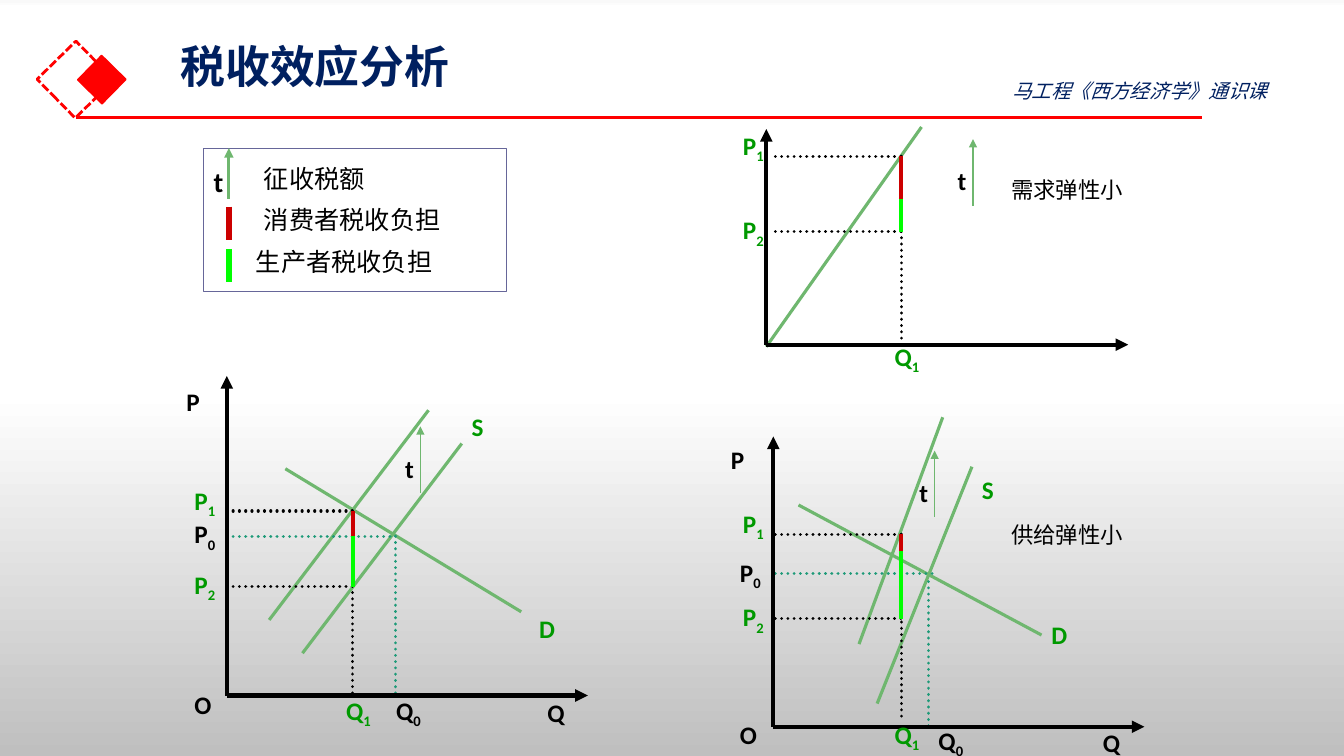
import pptx
import pptx.util
import pptx.dml.color
import pptx.enum.dml
import pptx.enum.shapes
import pptx.enum.text
import pptx.oxml.ns
import lxml.etree

RGB = pptx.dml.color.RGBColor
RED = RGB(0xFF, 0, 0)
NAVY = RGB(0, 0x20, 0x60)
SLATE = RGB(0x66, 0x66, 0x99)
WHITE = RGB(0xFF, 0xFF, 0xFF)
BLACK = RGB(0, 0, 0)
LEAF = RGB(0x6F, 0xB7, 0x6F)
GREEN = RGB(0, 0x99, 0)
TEAL = RGB(0x1D, 0x9A, 0x78)
BUYER = RGB(0xCC, 0, 0)
SELLER = RGB(0, 0xFF, 0)
SANS = "Noto Sans CJK SC"
LATIN = "Calibri"

TITLE = "税收效应分析"
COURSE = "马工程《西方经济学》通识课"
FADE = [(0, "F9F9F9"), (1, "FFFFFF"), (52, "FFFFFF"), (100, "BFBFBF")]
LEGEND = [("征收税额", 2.52, 1.64), ("消费者税收负担", 2.52, 2.05),
          ("生产者税收负担", 2.44, 2.47)]
NOTES = [("需求弹性小", 9.93, 1.72), ("供给弹性小", 9.93, 5.14)]
PANELS = [
    dict(zero=(2.25, 6.9), ends=(5.83, 3.73), left=2.25, foot=6.9,
         names=1.83, q1=3.5, p1=5.07, split=5.32, p2=5.82, tax=(4.17, 4.23),
         base=dict(q0=3.92, p0=5.32, reach=3.92, start=5.32, name=(1.83, 5.15),
                   under=(3.83, 6.9)),
         curves=[(3, 6.48, 4.58, 4.4), (2.83, 4.65, 5.17, 6.07),
                 (2.67, 6.15, 4.25, 4.07)],
         marks=[("S", GREEN, 4.58, 4.07), ("D", GREEN, 5.25, 6.07),
                ("P", BLACK, 1.75, 3.82), ("O", BLACK, 1.83, 6.82),
                ("Q", BLACK, 5.33, 6.9)]),
    dict(zero=(7.6, 3.42), ends=(11.19, 1.28), left=7.69, foot=3.39,
         names=7.27, q1=8.94, p1=1.55, split=1.97, p2=2.3, tax=(9.65, 1.38),
         base=None, curves=[(7.6, 3.44, 9.14, 1.26)], marks=[]),
    dict(zero=(7.67, 7.21), ends=(11.35, 4.33), left=7.69, foot=7.14,
         names=7.27, q1=8.94, p1=5.3, split=5.47, p2=6.14, tax=(9.27, 4.47),
         base=dict(q0=9.21, p0=5.69, reach=9.3, start=5.77, name=(7.24, 5.53),
                   under=(9.21, 7.2)),
         curves=[(8.52, 6.39, 9.35, 4.14), (8.7, 6.98, 9.64, 4.63),
                 (7.92, 5.01, 10.33, 6.3)],
         marks=[("S", GREEN, 9.64, 4.69), ("D", GREEN, 10.33, 6.13),
                ("P", BLACK, 7.15, 4.39), ("O", BLACK, 7.24, 7.12),
                ("Q", BLACK, 10.84, 7.2)]),
]
CELL = 0.33

inch = pptx.util.Inches
qn = pptx.oxml.ns.qn
Dash = pptx.enum.dml.MSO_LINE
Anchor = pptx.enum.text.MSO_ANCHOR

deck = pptx.Presentation()
deck.slide_width, deck.slide_height = inch(13.33), inch(7.5)
slide = deck.slides.add_slide(deck.slide_layouts[5])
shapes = slide.shapes


def paint():
    fill = slide.background.fill
    fill.gradient()
    fill.gradient_angle = 270
    stops = slide._element.find(".//" + qn("a:gsLst"))
    for old in list(stops):
        stops.remove(old)
    for place, tone in FADE:
        stop = lxml.etree.SubElement(stops, qn("a:gs"), pos=str(place * 1000))
        lxml.etree.SubElement(stop, qn("a:srgbClr"), val=tone)


def line(x1, y1, x2, y2, color, width=2.25, dots=False, arrow=False):
    link = shapes.add_connector(pptx.enum.shapes.MSO_CONNECTOR.STRAIGHT,
                                inch(x1), inch(y1), inch(x2), inch(y2))
    link.line.color.rgb = color
    link.line.width = pptx.util.Pt(width)
    if dots:
        link.line.dash_style = Dash.ROUND_DOT
        link.line._get_or_add_ln().set("cap", "rnd")
    if arrow:
        lxml.etree.SubElement(link.line._get_or_add_ln(), qn("a:tailEnd"),
                              type="triangle")
    lxml.etree.SubElement(link._element.spPr, qn("a:effectLst"))


def box(x, y, w, h, edge, width, fill=None, turn=0, dash=None):
    rect = shapes.add_shape(pptx.enum.shapes.MSO_SHAPE.RECTANGLE,
                            inch(x), inch(y), inch(w), inch(h))
    rect.shadow.inherit = False
    rect.rotation = turn
    if fill is None:
        rect.fill.background()
    else:
        rect.fill.solid()
        rect.fill.fore_color.rgb = fill
    rect.line.color.rgb = edge
    rect.line.width = pptx.util.Pt(width)
    if dash:
        rect.line.dash_style = dash


def write(para, words, size, color, face=LATIN, bold=False, slant=False, drop=False):
    run = para.add_run()
    run.text = words
    font = run.font
    font.size = pptx.util.Pt(size)
    font.bold, font.italic = bold, slant
    font.color.rgb = color
    font.name = face
    props = run._r.get_or_add_rPr()
    lxml.etree.SubElement(props, qn("a:ea"), typeface=SANS)
    if drop:
        props.set("baseline", "-25000")


def label(words, x, y, w=CELL, h=CELL, size=18, color=BLACK, bold=True, sub=""):
    wide = w + 0.1 if sub else w
    frame = shapes.add_textbox(inch(x), inch(y), inch(wide), inch(h)).text_frame
    frame.word_wrap = False
    frame.margin_right = 0
    frame.vertical_anchor = Anchor.MIDDLE
    write(frame.paragraphs[0], words, size, color, bold=bold)
    if sub:
        write(frame.paragraphs[0], sub, size, color, bold=bold, drop=True)


def panel(zero, ends, left, foot, names, q1, p1, split, p2, tax, base, curves, marks):
    for curve in curves:
        line(*curve, LEAF)
    if base:
        q0, p0 = base["q0"], base["p0"]
        line(left, p0, base["reach"], p0, TEAL, dots=True)
        line(q0, base["start"], q0, zero[1], TEAL, dots=True)
        label("P", *base["name"], sub="0")
        label("Q", *base["under"], sub="0")
    for price in (p1, p2):
        line(left, price, q1, price, BLACK, dots=True)
    line(q1, p1, q1, foot, BLACK, dots=True)
    line(*zero, ends[0], zero[1], BLACK, 3, arrow=True)
    line(*zero, zero[0], ends[1], BLACK, 3, arrow=True)
    line(q1, p1, q1, split, BUYER, 3)
    line(q1, split, q1, p2, SELLER, 3)
    label("P", names, p1 - 0.25, color=GREEN, sub="1")
    label("P", names, p2 - CELL / 2, color=GREEN, sub="2")
    label("Q", q1 - CELL / 2, foot, color=GREEN, sub="1")
    for words, color, x, y in marks:
        label(words, x, y, color=color)
    x, top = tax
    line(x, top + 2 * CELL, x, top, LEAF, 1, arrow=True)
    label("t", x - 0.25, top + 0.25, w=0.25)


def header():
    box(0.48, 0.52, 0.54, 0.54, RED, 2, turn=45.5, dash=Dash.SQUARE_DOT)
    box(0.84, 0.62, 0.34, 0.34, RED, 1, fill=RED, turn=314.5)
    line(0.75, 1.17, 11.92, 1.17, RED)
    title = shapes.title
    title.left, title.top = inch(1.69), inch(0.44)
    title.width, title.height = inch(11.5), inch(1.08)
    frame = title.text_frame
    frame.margin_top = 0
    frame.vertical_anchor = Anchor.TOP
    para = frame.paragraphs[0]
    para.alignment = pptx.enum.text.PP_ALIGN.LEFT
    para.line_spacing = 0.9
    write(para, TITLE, 32, NAVY, face=SANS, bold=True)
    frame = shapes.add_textbox(inch(9.94), inch(0.73), inch(3.24), inch(0.34)).text_frame
    frame.word_wrap = True
    write(frame.paragraphs[0], COURSE, 14, NAVY, face=SANS, slant=True)


def legend():
    box(2.02, 1.47, 3, 1.42, SLATE, 0.75, fill=WHITE)
    line(2.27, 1.97, 2.27, 1.47, LEAF, arrow=True)
    for top, color in ((2.05, BUYER), (2.47, SELLER)):
        line(2.27, top, 2.27, top + CELL, color, 4.5)
    label("t", 2.02, 1.63, w=0.25, size=20)
    for words, x, y in LEGEND:
        label(words, x, y, w=2.17, h=0.25, bold=False)


def main():
    paint()
    header()
    legend()
    for parts in PANELS:
        panel(**parts)
    for words, x, y in NOTES:
        label(words, x, y, w=1.3, size=16, bold=False)
    deck.save("out.pptx")


if __name__ == "__main__":
    main()
